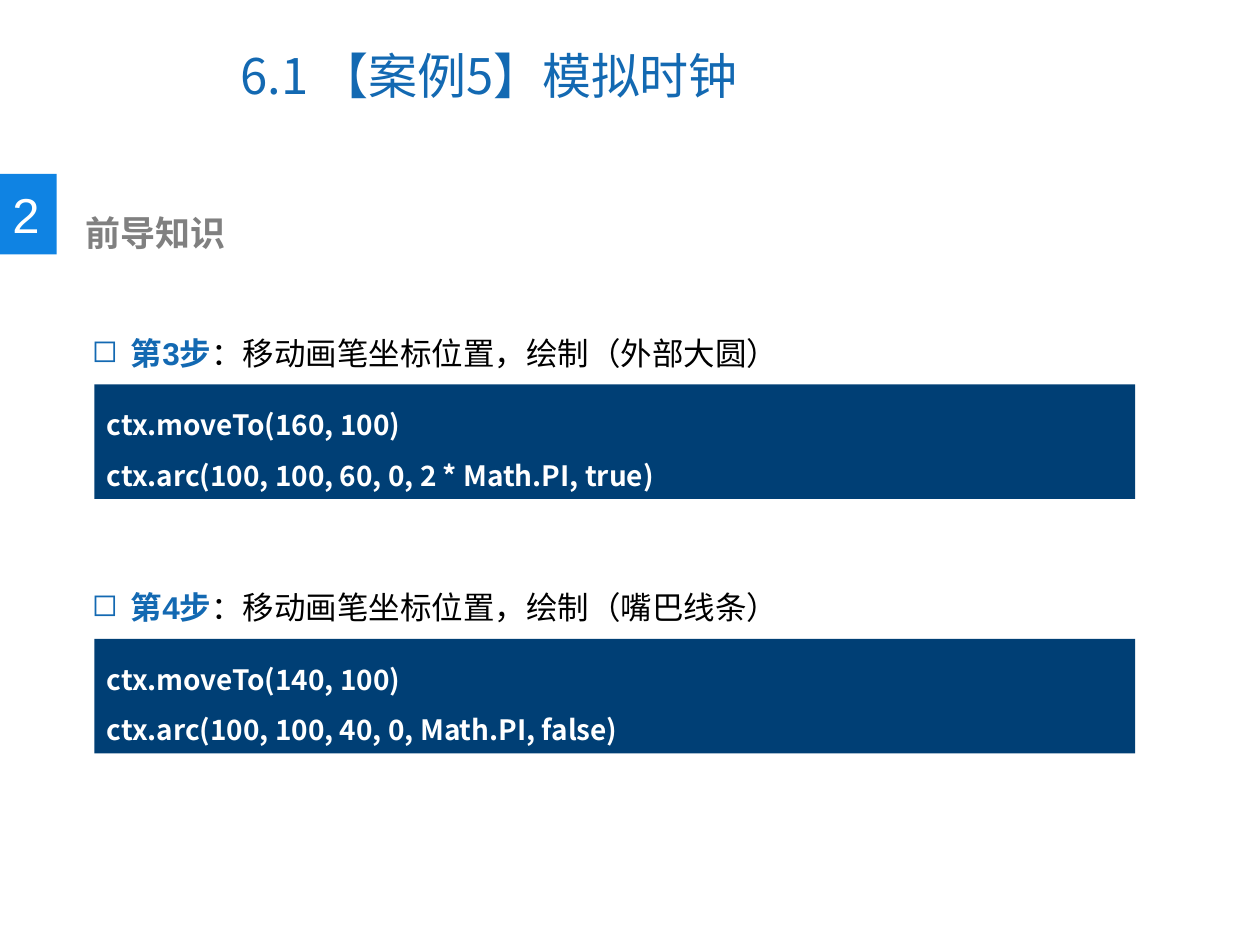
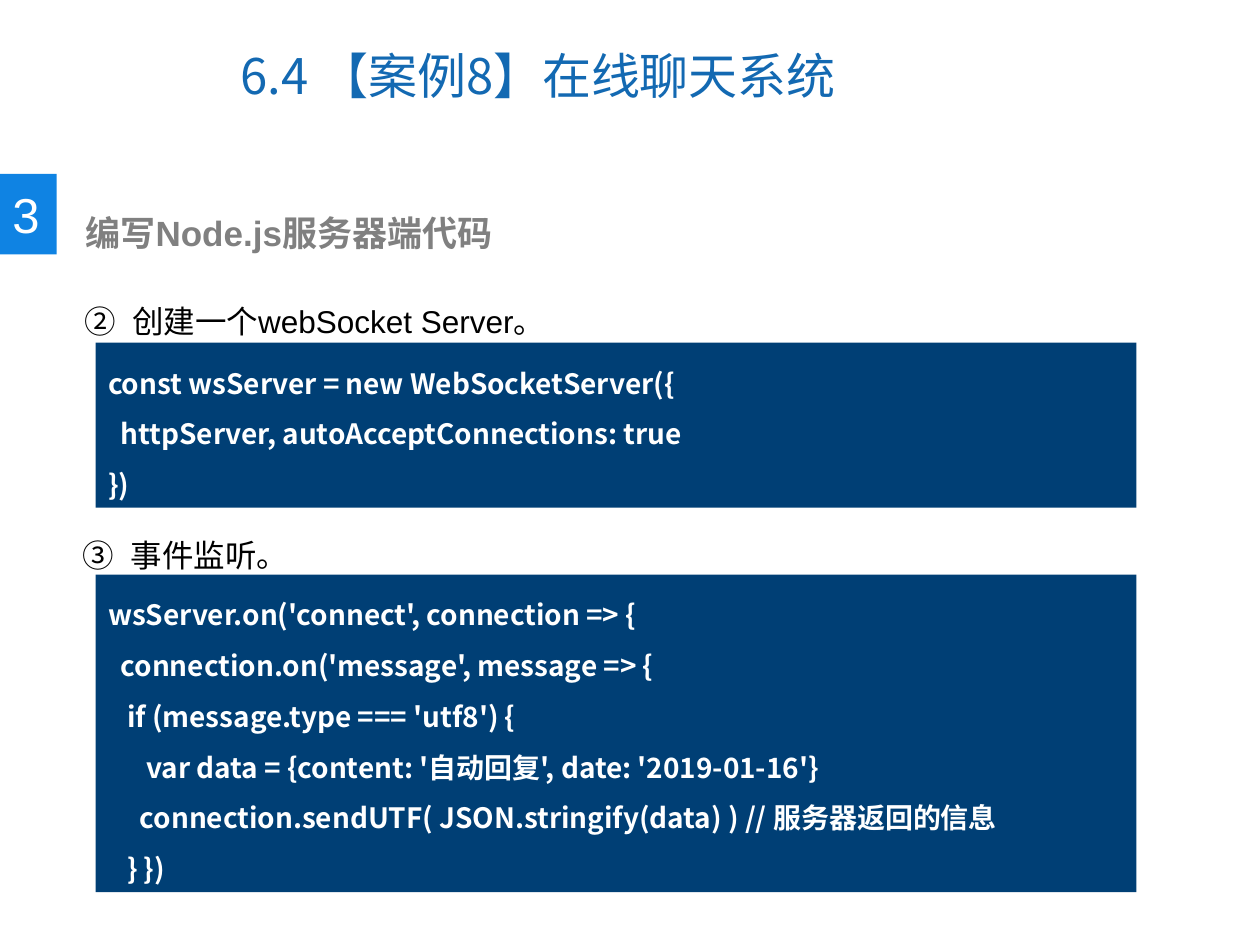
from lxml import etree
from pptx import Presentation, util as u
from pptx.dml.color import RGBColor
from pptx.enum import shapes, text
from pptx.oxml import ns

PX = 9144  # 100 px to the inch
BLUE = RGBColor(0x13, 0x69, 0xB2)
BADGE = RGBColor(0x0F, 0x83, 0xE3)
NAVY = RGBColor(0x00, 0x3F, 0x75)
GREY = RGBColor(0x80, 0x80, 0x80)
BLACK = RGBColor(0, 0, 0)
WHITE = RGBColor(255, 255, 255)
SANS, CJK = "Arial", "Noto Sans CJK SC"
TOP, MID = text.MSO_ANCHOR.TOP, text.MSO_ANCHOR.MIDDLE


def mark(para, indent, start):
    """Give a hanging circled number from start, or a blue square if start is None."""
    props = para._p.get_or_add_pPr()
    props.set("marL", str(indent * PX))
    props.set("indent", str(-indent * PX))
    if start:
        num = etree.SubElement(props, ns.qn("a:buAutoNum"))
        num.set("type", "circleNumDbPlain")
        num.set("startAt", str(start))
    else:
        tint = etree.SubElement(props, ns.qn("a:buClr"))
        etree.SubElement(tint, ns.qn("a:srgbClr")).set("val", str(BLUE))
        etree.SubElement(props, ns.qn("a:buChar")).set("char", "◻")


def write(slide, box, words, size, color, font=SANS, bold=False, fill=None,
          anchor=TOP, wrap=True, pitch=None, label="", indent=0, start=None):
    """Write one paragraph per line of words; label is a bold blue lead-in."""
    box = [n * PX for n in box]
    if fill is None:
        shape = slide.shapes.add_textbox(*box)
    else:
        shape = slide.shapes.add_shape(shapes.MSO_SHAPE.RECTANGLE, *box)
        shape.shadow.inherit = False
        shape.fill.solid()
        shape.fill.fore_color.rgb = fill
        shape.line.fill.background()
    frame = shape.text_frame
    frame.word_wrap = wrap
    frame.vertical_anchor = anchor
    for i, line in enumerate(words.split("\n")):
        para = frame.add_paragraph() if i else frame.paragraphs[0]
        para.alignment = text.PP_ALIGN.LEFT
        if indent:
            mark(para, indent, start)
        if pitch:
            para.line_spacing = u.Pt(pitch)
        for part, heavy, tint in ((label, True, BLUE), (line, bold, color)):
            if part:
                run = para.add_run()
                run.text = part
                run.font.size = u.Pt(size)
                run.font.bold = heavy
                run.font.color.rgb = tint
                run.font.name = font
                east = etree.SubElement(run.font._element, ns.qn("a:ea"))
                east.set("typeface", CJK)


# Each step: item box, label, words, indent, start number, code box, code
pages = [
    ("6.1 【案例5】模拟时钟", "2", "前导知识", [
        ((63, 229, 865, 61), "第3步", "：移动画笔坐标位置，绘制（外部大圆）", 31, None,
         (75, 305, 826, 91),
         "ctx.moveTo(160, 100)\n"
         "ctx.arc(100, 100, 60, 0, 2 * Math.PI, true)"),
        ((63, 431, 865, 61), "第4步", "：移动画笔坐标位置，绘制（嘴巴线条）", 31, None,
         (75, 507, 826, 91),
         "ctx.moveTo(140, 100)\n"
         "ctx.arc(100, 100, 40, 0, Math.PI, false)"),
    ]),
    ("6.4 【案例8】在线聊天系统", "3", "编写Node.js服务器端代码", [
        ((57, 204, 876, 61), "", "创建一个webSocket Server。", 38, 2,
         (76, 272, 826, 131),
         "const wsServer = new WebSocketServer({\n"
         "  httpServer, autoAcceptConnections: true\n"
         "})"),
        ((56, 389, 784, 71), "", "事件监听。", 38, 3,
         (76, 456, 826, 252),
         "wsServer.on('connect', connection => {\n"
         "  connection.on('message', message => {\n"
         "   if (message.type === 'utf8') {\n"
         "      var data = {content: '自动回复', date: '2019-01-16'}\n"
         "     connection.sendUTF( JSON.stringify(data) ) // 服务器返回的信息\n"
         "   } })"),
    ]),
]

deck = Presentation()
deck.slide_width, deck.slide_height = 1000 * PX, 750 * PX

for title, number, topic, steps in pages:
    slide = deck.slides.add_slide(deck.slide_layouts[6])
    write(slide, (181, 17, 540, 85), title, 28, BLUE, font=CJK, anchor=MID)
    write(slide, (0, 138, 45, 64), number, 28, WHITE, fill=BADGE, anchor=MID, wrap=False)
    write(slide, (58, 163, 503, 44), topic, 20, GREY, bold=True)
    for place, label, words, indent, start, block, code in steps:
        write(slide, block, code, 16, WHITE, font=CJK, bold=True, fill=NAVY, pitch=29)
        write(slide, place, words, 18, BLACK, pitch=44, label=label,
              indent=indent, start=start)

deck.save("out.pptx")
